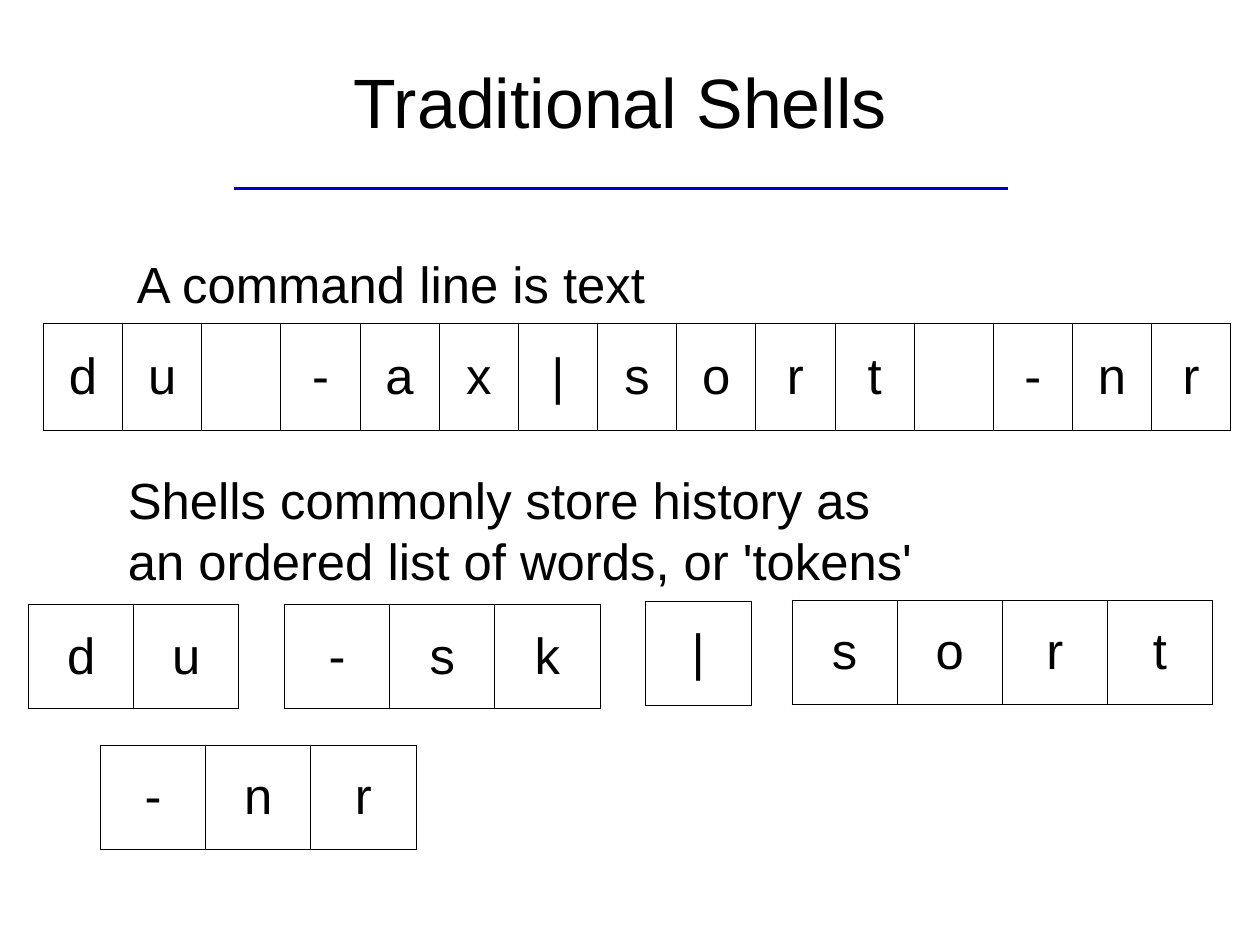
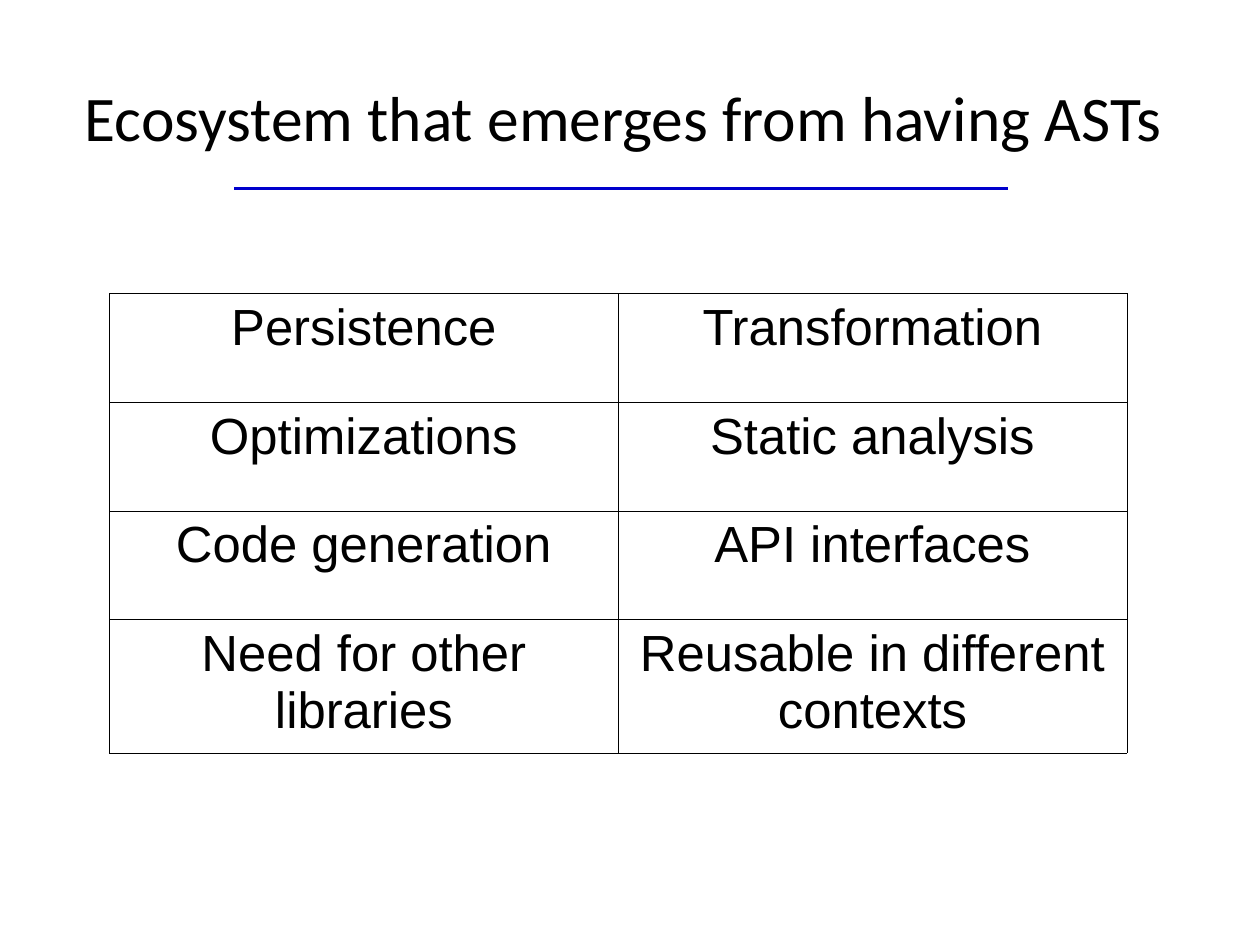
"""Build two slides on shells, tokens and syntax trees."""
import pptx
import pptx.util
import pptx.dml.color
import pptx.enum.shapes
import pptx.enum.text
import pptx.oxml
import pptx.oxml.ns

Inches, Pt = pptx.util.Inches, pptx.util.Pt

COLORS = {"text": "000000", "rule": "0000CC", "border": "000000"}
BODY_FONT, BODY_SIZE = "Arial", 32
CENTER = pptx.enum.text.PP_ALIGN.CENTER
TOP, MIDDLE = pptx.enum.text.MSO_ANCHOR.TOP, pptx.enum.text.MSO_ANCHOR.MIDDLE

SHELLS_TITLE = ("Traditional Shells", 0.47, 0.19, 44, "Arial")
CAPTIONS = [
    (1.1, 2.16, 4.65, 0.6, ["A command line is text"]),
    (1.02, 4.05, 7.08, 1.1, ["Shells commonly store history as",
                             "an ordered list of words, or 'tokens'"]),
]
COMMAND = "du -ax|sort -nr"
COMMAND_BOX = (0.38, 2.83, 10.39, 0.94)
TOKENS = [("du", 0.25, 5.29), ("-sk", 2.49, 5.29), ("|", 5.65, 5.26),
          ("sort", 6.93, 5.25), ("-nr", 0.88, 6.52)]
TOKEN_CELL, TOKEN_HEIGHT = 0.92, 0.91

ECOSYSTEM_TITLE = ("Ecosystem that emerges from having ASTs", 0.49, 0.33, 40, "Calibri")
ECOSYSTEM = [
    ("Persistence", "Transformation"),
    ("Optimizations", "Static analysis"),
    ("Code generation", "API interfaces"),
    ("Need for other libraries", "Reusable in different contexts"),
]
ECOSYSTEM_HEIGHTS = [0.95, 0.95, 0.95, 1.08]


def rgb(name):
    return pptx.dml.color.RGBColor.from_string(COLORS[name])


def set_font(p, size=BODY_SIZE, name=BODY_FONT):
    p.font.size, p.font.name = Pt(size), name
    p.font.color.rgb = rgb("text")


def set_margins(box, horizontal, vertical):
    box.margin_left = box.margin_right = Inches(horizontal)
    box.margin_top = box.margin_bottom = Inches(vertical)


def add_titled_slide(prs, text, left, top, size, font):
    s = prs.slides.add_slide(prs.slide_layouts[6])
    rule = s.shapes.add_connector(pptx.enum.shapes.MSO_CONNECTOR.STRAIGHT,
                                  Inches(2.05), Inches(1.65), Inches(8.82), Inches(1.65))
    rule.line.color.rgb, rule.line.width = rgb("rule"), Pt(1.5)
    rule._element.spPr.append(pptx.oxml.parse_xml(
        f"<a:effectLst {pptx.oxml.ns.nsdecls('a')}/>"))
    tf = s.shapes.add_textbox(Inches(left), Inches(top), Inches(9.92), Inches(1.38)).text_frame
    tf.word_wrap, tf.vertical_anchor = True, MIDDLE
    set_margins(tf, 0, 0)
    p = tf.paragraphs[0]
    p.text, p.alignment = text, CENTER
    set_font(p, size, font)
    return s


def add_caption(s, left, top, width, height, lines):
    tf = s.shapes.add_textbox(*map(Inches, (left, top, width, height))).text_frame
    tf.word_wrap = False
    set_margins(tf, 0.1, 0.05)
    for i, line in enumerate(lines):
        p = tf.add_paragraph() if i else tf.paragraphs[0]
        p.text = line
        set_font(p)


def set_borders(cell):
    tcPr = cell._tc.get_or_add_tcPr()
    for i, side in enumerate(("lnL", "lnR", "lnT", "lnB")):
        tcPr.insert(i, pptx.oxml.parse_xml(
            f'<a:{side} {pptx.oxml.ns.nsdecls("a")} w="{Pt(0.57)}"><a:solidFill>'
            f'<a:srgbClr val="{COLORS["border"]}"/></a:solidFill></a:{side}>'))


def add_grid(s, rows, left, top, width, heights, anchor):
    table = s.shapes.add_table(len(rows), len(rows[0]), Inches(left), Inches(top),
                               Inches(width), Inches(sum(heights))).table
    table.first_row = table.horz_banding = False
    for column in table.columns:
        column.width = Inches(width / len(rows[0]))
    for r, (texts, height) in enumerate(zip(rows, heights)):
        table.rows[r].height = Inches(height)
        for c, text in enumerate(texts):
            cell = table.cell(r, c)
            cell.vertical_anchor = anchor
            set_margins(cell, 0.04, 0.05)
            cell.fill.background()
            set_borders(cell)
            p = cell.text_frame.paragraphs[0]
            p.text, p.alignment = text.strip(), CENTER
            set_font(p)


def main():
    prs = pptx.Presentation()
    prs.slide_width = pptx.util.Cm(28)
    prs.slide_height = pptx.util.Cm(21)

    s = add_titled_slide(prs, *SHELLS_TITLE)
    for caption in CAPTIONS:
        add_caption(s, *caption)
    for token, left, top in TOKENS:
        add_grid(s, [token], left, top, TOKEN_CELL * len(token), [TOKEN_HEIGHT], MIDDLE)
    left, top, width, height = COMMAND_BOX
    add_grid(s, [COMMAND], left, top, width, [height], MIDDLE)

    s = add_titled_slide(prs, *ECOSYSTEM_TITLE)
    add_grid(s, ECOSYSTEM, 0.96, 2.57, 8.9, ECOSYSTEM_HEIGHTS, TOP)

    prs.save("out.pptx")


if __name__ == "__main__":
    main()
